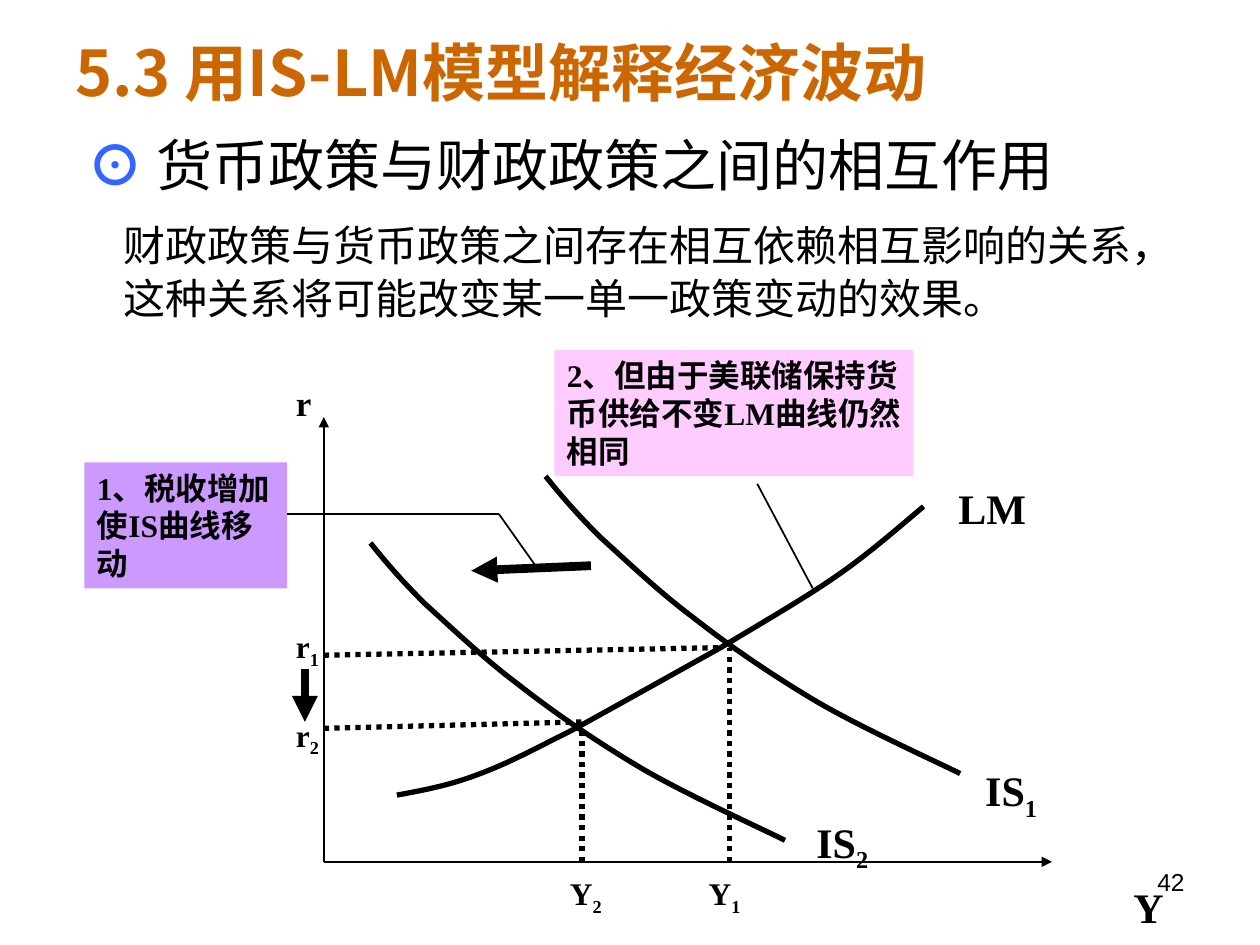
from pptx import Presentation
from pptx.dml.color import RGBColor
from pptx.enum.dml import MSO_LINE
from pptx.enum.shapes import MSO_CONNECTOR, MSO_SHAPE
from pptx.enum.text import MSO_ANCHOR, PP_ALIGN as AL
from pptx.oxml.ns import qn
from pptx.util import Inches, Pt
from lxml.etree import SubElement

# Grid of 100 columns by 75 rows
W, H = Inches(10), Inches(7.5)
UNIT = W / 100
CJK, SERIF, SANS = "Noto Sans CJK SC", "Times New Roman", "Arial"
BLACK = "000000"
ORIGIN_X, ORIGIN_Y = 25.7, 68.4


def grid(*values):
    return [round(v * UNIT) for v in values]


def rgb(hex_string):
    return RGBColor.from_string(hex_string)


def style(r, size, font=SERIF, color=BLACK, bold=True):
    r.font.size, r.font.bold, r.font.name = Pt(size), bold, font
    r.font.color.rgb = rgb(color)
    SubElement(r._r.get_or_add_rPr(), qn("a:ea")).set("typeface", CJK)


def add_run(p, text, *args, **kwargs):
    r = p.add_run()
    r.text = text
    style(r, *args, **kwargs)
    return r


def add_box(s, at):
    tf = s.shapes.add_textbox(*grid(*at)).text_frame
    tf.word_wrap = True
    return tf


def add_label(s, at, text, size, sub=""):
    p = add_box(s, at).paragraphs[0]
    p.alignment = AL.CENTER
    add_run(p, text, size)
    if sub:
        add_run(p, sub, size).font._element.set("baseline", "-25000")


def add_callout(s, at, text, fill):
    sp = s.shapes.add_shape(MSO_SHAPE.RECTANGLE, *grid(*at))
    sp.shadow.inherit = False
    sp.fill.solid()
    sp.fill.fore_color.rgb = rgb(fill)
    sp.line.fill.background()
    tf = sp.text_frame
    tf.word_wrap, tf.vertical_anchor = True, MSO_ANCHOR.TOP
    p = tf.paragraphs[0]
    p.alignment = AL.LEFT
    add_run(p, text, 18)


def add_line(s, start, end, width=1, dash=None, arrow=False):
    ln = s.shapes.add_connector(MSO_CONNECTOR.STRAIGHT, *grid(*start, *end))
    ln.line.color.rgb, ln.line.width = rgb(BLACK), Pt(width)
    if dash:
        ln.line.dash_style = dash
    if arrow:
        SubElement(ln.line._get_or_add_ln(), qn("a:tailEnd")).set("type", "triangle")
    SubElement(ln._element.spPr, qn("a:effectLst"))


def add_curve(s, points, dx=0, dy=0):
    """Draw a start point followed by triples of Bezier points."""
    start, *rest = [tuple(grid(x + dx, y + dy)) for x, y in points]
    fb = s.shapes.build_freeform(*start)
    fb.add_line_segments(rest, close=False)
    sp = fb.convert_to_shape()
    sp.shadow.inherit = False
    sp.fill.background()
    sp.line.color.rgb, sp.line.width = rgb(BLACK), Pt(3)
    # Merge each three straight segments into one Bezier segment
    path = next(sp._element.iter(qn("a:path")))
    segments = path.findall(qn("a:lnTo"))
    for i in range(0, len(segments), 3):
        bezier = SubElement(path, qn("a:cubicBezTo"))
        for seg in segments[i:i + 3]:
            bezier.append(seg[0])
            path.remove(seg)


def add_title(s, text):
    sp = s.shapes.title
    sp.left, sp.top, sp.width, sp.height = grid(5, 1.3, 90, 8.7)
    tf = sp.text_frame
    tf.text, tf.vertical_anchor = text, MSO_ANCHOR.MIDDLE
    p = tf.paragraphs[0]
    p.alignment = AL.LEFT
    style(p.runs[0], 36, CJK, "CC6600")


def add_body(s):
    tf = add_box(s, (5, 9.9, 90, 17))
    head, detail = tf.paragraphs[0], tf.add_paragraph()
    for p, margin in ((head, 0.1), (detail, 0.38)):
        p._p.get_or_add_pPr().set("marL", str(Inches(margin)))
    detail.line_spacing, detail.space_before = 1.05, Pt(11)
    add_run(head, "⊙ ", 32, SANS, "3366FF")
    add_run(head, "货币政策与财政政策之间的相互作用", 32, CJK, bold=False)
    add_run(detail, "财政政策与货币政策之间存在相互依赖相互影响的关系，"
            "这种关系将可能改变某一单一政策变动的效果。", 24, CJK, bold=False)


def add_diagram(s):
    # Axes
    for end in ((ORIGIN_X, 33.1), (83.5, ORIGIN_Y)):
        add_line(s, (ORIGIN_X, ORIGIN_Y), end, arrow=True)
    # Callouts and their leaders
    add_callout(s, (44, 27.8, 28.5, 10), "2、但由于美联储保持货币供给不变LM曲线仍然相同", "FFCCFF")
    add_callout(s, (6.7, 36.7, 16.1, 10), "1、税收增加使IS曲线移动", "CC99FF")
    for start, end in (((64.5, 46.7), (60.1, 38.4)),
                       ((22.8, 40.8), (39.6, 40.8)),
                       ((39.6, 40.8), (42.5, 44.9))):
        add_line(s, start, end)
    # Guides from the equilibria to the axes
    for start, end in (((ORIGIN_X, 57.8), (46.2, 57.3)),
                       ((ORIGIN_X, 52), (57.2, 51.4)),
                       ((57.9, ORIGIN_Y), (57.9, 51.4)),
                       ((46.2, ORIGIN_Y), (46.2, 57.9))):
        add_line(s, start, end, 3, MSO_LINE.ROUND_DOT)
    # Shift arrows
    add_line(s, (46.9, 44.9), (37.4, 45.3), 5, arrow=True)
    add_line(s, (24.2, 53.1), (24.2, 57.3), 5, arrow=True)
    # Curves: IS1 is IS2 moved up and to the right
    is_curve = [(29.4, 43.1), (30.6, 44.6), (31.8, 46), (33.7, 47.9),
                (35.7, 49.7), (38.3, 52.2), (41.1, 54.3),
                (43.9, 56.5), (47.1, 58.7), (50.6, 60.8),
                (54.1, 62.9), (60.3, 65.7), (62.3, 66.7)]
    lm_curve = [(31.5, 63.1), (33.7, 62.7), (35.8, 62.3), (38.1, 61.4),
                (40.5, 60.5), (42.3, 59.5), (45.5, 57.9),
                (48.6, 56.2), (53.6, 53.4), (57.2, 51.4),
                (60.7, 49.3), (64, 47.4), (66.7, 45.5),
                (69.4, 43.6), (72.2, 41.1), (73.3, 40.2)]
    add_curve(s, is_curve)
    add_curve(s, is_curve, 13.9, -5.3)
    add_curve(s, lm_curve)
    # Axis and curve names
    add_label(s, (21.1, 29.8, 6, 4.4), "r", 20)
    add_label(s, (87.8, 69.5, 6.7, 5), "Y", 24)
    add_label(s, (74, 37.8, 9.5, 5), "LM", 24)
    add_label(s, (76.2, 60.2, 8.1, 5.6), "IS", 24, "1")
    add_label(s, (63, 64.3, 7.7, 5.6), "IS", 24, "2")
    # Equilibrium values
    for sub, r_top, y_left in (("1", 49.3, 54.5), ("2", 56.3, 43.5)):
        add_label(s, (21.4, r_top, 6, 4.4), "r", 18, sub)
        add_label(s, (y_left, 68.9, 6, 4.4), "Y", 18, sub)


def main():
    prs = Presentation()
    prs.slide_width, prs.slide_height = W, H
    s = prs.slides.add_slide(prs.slide_layouts[5])
    add_title(s, "5.3 用IS-LM模型解释经济波动")
    add_body(s)
    # Page number
    p = add_box(s, (71.7, 68.3, 23.3, 5.2)).paragraphs[0]
    p.alignment = AL.RIGHT
    add_run(p, "42", 14, SANS, bold=False)
    add_diagram(s)
    prs.save("out.pptx")


if __name__ == "__main__":
    main()
